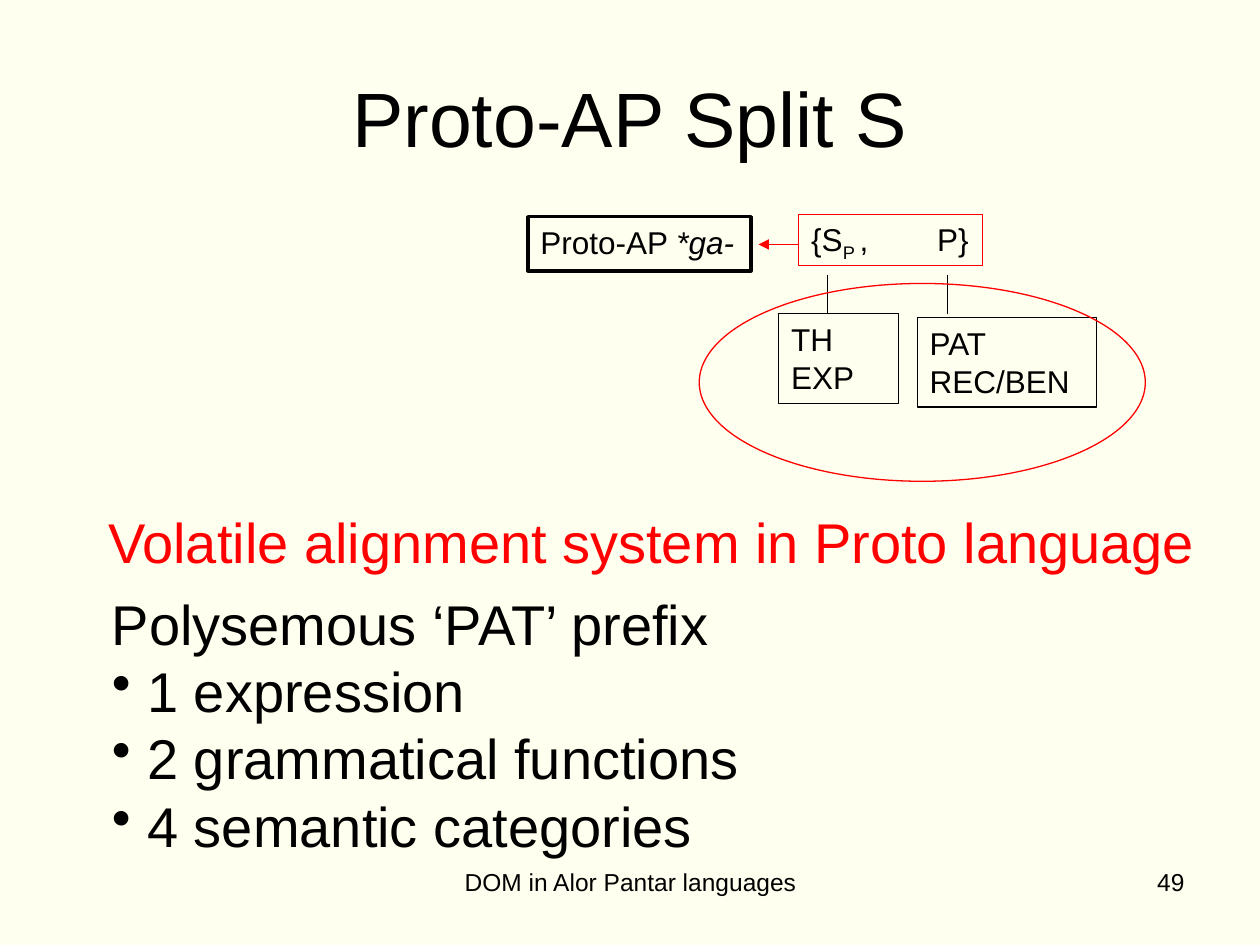
import dataclasses
import typing

import lxml.etree
import pptx
import pptx.dml.color
import pptx.enum.shapes
import pptx.enum.text
import pptx.oxml.ns
import pptx.util

Inches = pptx.util.Inches
Shape = pptx.enum.shapes.MSO_SHAPE
Align = pptx.enum.text.PP_ALIGN
Anchor = pptx.enum.text.MSO_ANCHOR
AutoSize = pptx.enum.text.MSO_AUTO_SIZE


@dataclasses.dataclass(frozen=True)
class Theme:
    font: str = "Arial"
    paper: str = "FFFFF0"
    ink: str = "000000"
    accent: str = "FF0000"
    title: int = 44
    body: int = 32
    label: int = 18
    footer: int = 14
    thin: float = 0.75
    thick: float = 2


THEME = Theme()


class Box(typing.NamedTuple):
    left: float
    top: float
    width: float
    height: float


class Run(typing.NamedTuple):
    text: str
    italic: bool = False
    baseline: int = 0


class Line(typing.NamedTuple):
    runs: tuple[Run, ...]
    bullet: bool = False


@dataclasses.dataclass(frozen=True)
class Node:
    box: Box
    lines: tuple[Line, ...]
    color: str = THEME.ink
    weight: float = THEME.thin
    wrap: bool = True


@dataclasses.dataclass(frozen=True)
class Link:
    start: tuple[float, float]
    end: tuple[float, float]
    color: str = THEME.ink
    arrow: bool = False


def plain(*texts: str, bullet: bool = False) -> tuple[Line, ...]:
    return tuple(Line((Run(text),), bullet) for text in texts)


def rgb(color: str) -> pptx.dml.color.RGBColor:
    return pptx.dml.color.RGBColor.from_string(color)


def write(frame, lines: tuple[Line, ...], *, size: int, color: str = THEME.ink,
          align=Align.LEFT, anchor=Anchor.TOP, wrap: bool = True, grow: bool = False) -> None:
    frame.word_wrap = wrap
    frame.auto_size = AutoSize.SHAPE_TO_FIT_TEXT if grow else AutoSize.NONE
    frame.vertical_anchor = anchor
    for index, line in enumerate(lines):
        paragraph = frame.add_paragraph() if index else frame.paragraphs[0]
        paragraph.alignment = align
        if line.bullet:
            bullet = lxml.etree.SubElement(
                paragraph._p.get_or_add_pPr(), pptx.oxml.ns.qn("a:buChar"))
            bullet.set("char", "•")
        for part in line.runs:
            run = paragraph.add_run()
            run.text = part.text
            run.font.name = THEME.font
            run.font.size = pptx.util.Pt(size)
            run.font.color.rgb = rgb(color)
            if part.italic:
                run.font.italic = True
            if part.baseline:
                run._r.get_or_add_rPr().set("baseline", str(part.baseline * 1000))


def add_text(slide, box: Box, lines: tuple[Line, ...], **style) -> None:
    textbox = slide.shapes.add_textbox(*map(Inches, box))
    write(textbox.text_frame, lines, **style)


def add_outline(slide, kind, box: Box, color: str, weight: float):
    outline = slide.shapes.add_shape(kind, *map(Inches, box))
    outline.shadow.inherit = False
    outline.fill.background()
    outline.line.color.rgb = rgb(color)
    outline.line.width = pptx.util.Pt(weight)
    return outline


def add_node(slide, node: Node) -> None:
    outline = add_outline(slide, Shape.RECTANGLE, node.box, node.color, node.weight)
    write(outline.text_frame, node.lines, size=THEME.label, wrap=node.wrap, grow=True)


def add_link(slide, link: Link) -> None:
    connector = slide.shapes.add_connector(
        pptx.enum.shapes.MSO_CONNECTOR.STRAIGHT, *map(Inches, link.start + link.end))
    connector.line.color.rgb = rgb(link.color)
    connector.line.width = pptx.util.Pt(THEME.thin)
    if link.arrow:
        tail = lxml.etree.SubElement(
            connector.line._get_or_add_ln(), pptx.oxml.ns.qn("a:tailEnd"))
        tail.set("type", "triangle")
    lxml.etree.SubElement(connector._element.spPr, pptx.oxml.ns.qn("a:effectLst"))


NODES = (
    Node(Box(4.19, 1.72, 1.77, 0.43), (Line((Run("Proto-AP "), Run("*ga-", italic=True))),),
         weight=THEME.thick, wrap=False),
    Node(Box(6.34, 1.7, 1.46, 0.41),
         (Line((Run("{S"), Run("P ", baseline=-25), Run(", \tP}"))),),
         color=THEME.accent, wrap=False),
    Node(Box(6.18, 2.49, 0.95, 0.71), plain("TH", "EXP")),
    Node(Box(7.28, 2.52, 1.42, 0.71), plain("PAT", "REC/BEN")),
)
ARROW_Y = 1.94
LINKS = (
    Link((6.1, ARROW_Y), (6.1, ARROW_Y), arrow=True),
    Link((6.34, ARROW_Y), (6.02, ARROW_Y), color=THEME.accent, arrow=True),
    *(Link((x, 2.18), (x, 2.49)) for x in (6.57, 7.52)),
)


def main() -> None:
    deck = pptx.Presentation()
    deck.slide_width, deck.slide_height = Inches(10), Inches(7.5)
    slide = deck.slides.add_slide(deck.slide_layouts[6])
    slide.background.fill.solid()
    slide.background.fill.fore_color.rgb = rgb(THEME.paper)

    add_text(slide, Box(0.5, 0.3, 9, 1.25), plain("Proto-AP Split S"),
             size=THEME.title, align=Align.CENTER, anchor=Anchor.MIDDLE)
    for node in NODES:
        add_node(slide, node)
    for link in LINKS:
        add_link(slide, link)
    findings = plain("Polysemous ‘PAT’ prefix") + plain(
        " 1 expression", " 2 grammatical functions", " 4 semantic categories", bullet=True)
    add_text(slide, Box(0.79, 4.63, 5.34, 2.26), findings,
             size=THEME.body, wrap=False, grow=True)
    add_outline(slide, Shape.OVAL, Box(5.55, 2.25, 3.54, 1.57), THEME.accent, THEME.thin)
    add_text(slide, Box(0.76, 3.98, 8.9, 0.64),
             plain("Volatile alignment system in Proto language"),
             size=THEME.body, color=THEME.accent, wrap=False, grow=True)
    add_text(slide, Box(3.42, 6.83, 3.17, 0.52), plain("DOM in Alor Pantar languages"),
             size=THEME.footer, align=Align.CENTER)
    add_text(slide, Box(7.17, 6.83, 2.33, 0.52), plain("49"),
             size=THEME.footer, align=Align.RIGHT)
    deck.save("out.pptx")


if __name__ == "__main__":
    main()
